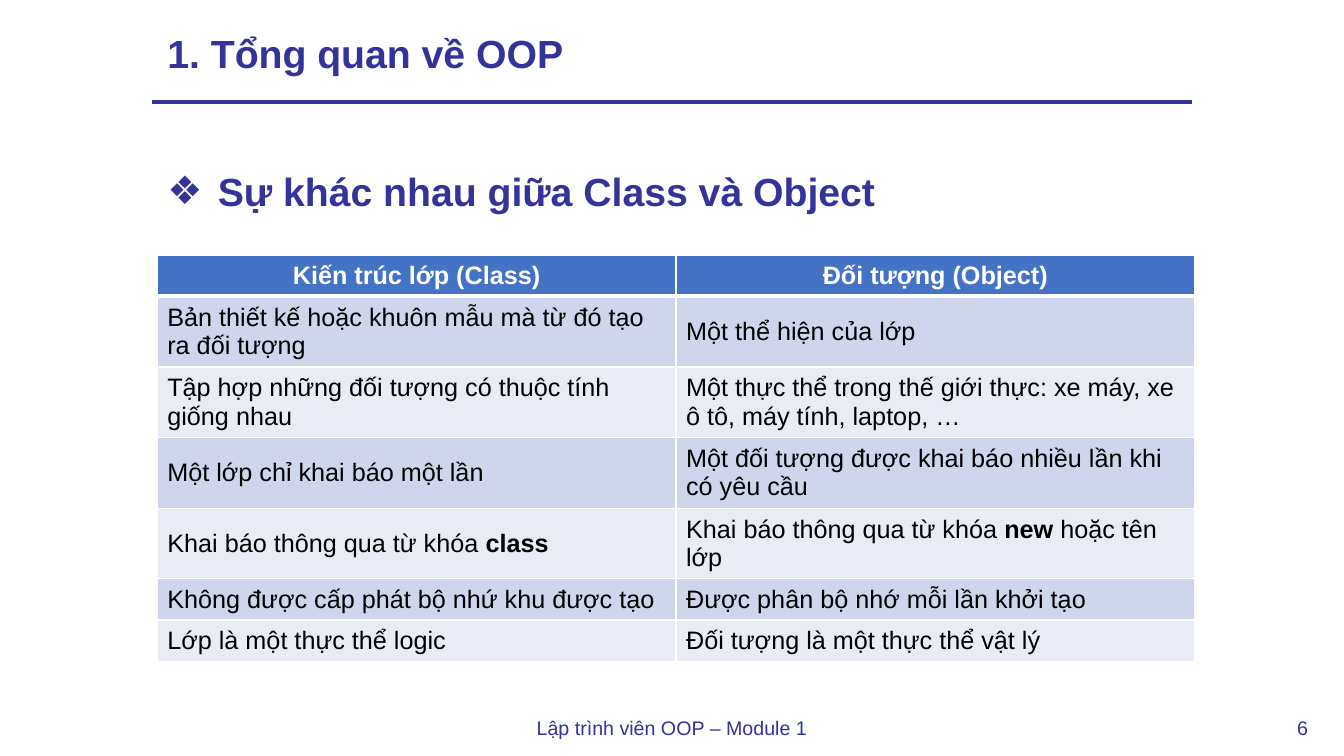
import pptx
import pptx.util
import pptx.dml.color
import pptx.enum.shapes
import pptx.enum.text
import pptx.oxml.ns
from lxml import etree

Inches = pptx.util.Inches
Pt = pptx.util.Pt
PP_ALIGN = pptx.enum.text.PP_ALIGN
ANCHOR = pptx.enum.text.MSO_ANCHOR
AUTO_SIZE = pptx.enum.text.MSO_AUTO_SIZE
qn = pptx.oxml.ns.qn

COLORS = {
    "indigo": "333399",
    "white": "FFFFFF",
    "black": "000000",
    "header": "4472C4",
    "odd_row": "CFD5EA",
    "even_row": "E9EBF5",
}

HEADINGS = ("Kiến trúc lớp (Class)", "Đối tượng (Object)")
COMPARISONS = [
    ("Bản thiết kế hoặc khuôn mẫu mà từ đó tạo ra đối tượng", "Một thể hiện của lớp"),
    ("Tập hợp những đối tượng có thuộc tính giống nhau",
     "Một thực thể trong thế giới thực: xe máy, xe ô tô, máy tính, laptop, …"),
    ("Một lớp chỉ khai báo một lần", "Một đối tượng được khai báo nhiều lần khi có yêu cầu"),
    ("Khai báo thông qua từ khóa **class**", "Khai báo thông qua từ khóa **new** hoặc tên lớp"),
    ("Không được cấp phát bộ nhứ khu được tạo", "Được phân bộ nhớ mỗi lần khởi tạo"),
    ("Lớp là một thực thể logic", "Đối tượng là một thực thể vật lý"),
]
ROW_HEIGHTS = [0.41, 0.7, 0.7, 0.7, 0.7, 0.41, 0.41]


def rgb(name):
    return pptx.dml.color.RGBColor.from_string(COLORS[name])


def style(paragraph, size, color, align, bold=None):
    paragraph.alignment = align
    paragraph.font.name = "Arial"
    paragraph.font.size = Pt(size)
    paragraph.font.color.rgb = rgb(color)
    paragraph.font.bold = bold


def place(shape, left, top, width, height):
    shape.left, shape.top = Inches(left), Inches(top)
    shape.width, shape.height = Inches(width), Inches(height)


def add_title(slide, left, top, width, height):
    title = slide.shapes.title
    place(title, left, top, width, height)
    title.text_frame.text = "1. Tổng quan về OOP"
    title.text_frame.auto_size = AUTO_SIZE.NONE
    title.text_frame.vertical_anchor = ANCHOR.MIDDLE
    paragraph = title.text_frame.paragraphs[0]
    style(paragraph, 28, "indigo", PP_ALIGN.LEFT, True)
    paragraph.line_spacing = 0.9


def add_rule(slide, left, top, width):
    rule = slide.shapes.add_connector(
        pptx.enum.shapes.MSO_CONNECTOR.STRAIGHT,
        Inches(left), Inches(top), Inches(left + width), Inches(top))
    rule.line.color.rgb = rgb("indigo")
    rule.line.width = Pt(3)
    etree.SubElement(rule._element.spPr, qn("a:effectLst"))


def add_topic(slide, left, top, width, height):
    topic = slide.placeholders[1]
    place(topic, left, top, width, height)
    topic.text_frame.text = "Sự khác nhau giữa Class và Object"
    topic.text_frame.auto_size = AUTO_SIZE.NONE
    topic.text_frame.vertical_anchor = ANCHOR.TOP
    paragraph = topic.text_frame.paragraphs[0]
    style(paragraph, 28, "indigo", PP_ALIGN.JUSTIFY, True)
    paragraph.line_spacing = 1.5
    paragraph.space_before = Pt(0)
    paragraph.space_after = Pt(6)
    properties = paragraph._p.get_or_add_pPr()
    properties.set("marL", str(Inches(0.5)))
    properties.set("indent", str(Inches(-0.5)))
    bullet = etree.Element(qn("a:buChar"), char="❖")
    properties.find(qn("a:spcAft")).addnext(bullet)


def set_borders(cell, top_width, bottom_width):
    properties = cell._tc.get_or_add_tcPr()
    for side, width in (("L", 1), ("R", 1), ("T", top_width), ("B", bottom_width)):
        border = etree.SubElement(properties, qn(f"a:ln{side}"), w=str(Pt(width)))
        fill = etree.SubElement(border, qn("a:solidFill"))
        etree.SubElement(fill, qn("a:srgbClr"), val=COLORS["white"])


def fill_cell(cell, text, row):
    is_header = row == 0
    set_borders(cell, 3 if row == 1 else 1, 3 if is_header else 1)
    cell.fill.solid()
    cell.fill.fore_color.rgb = rgb(
        "header" if is_header else "odd_row" if row % 2 else "even_row")
    cell.vertical_anchor = ANCHOR.MIDDLE
    paragraph = cell.text_frame.paragraphs[0]
    style(paragraph, 18, "white" if is_header else "black",
          PP_ALIGN.CENTER if is_header else PP_ALIGN.LEFT, is_header)
    paragraph.space_before = paragraph.space_after = Pt(6 if is_header else 12)
    for index, part in enumerate(text.split("**")):
        if part:
            run = paragraph.add_run()
            run.text = part
            run.font.bold = is_header or index % 2 == 1


def add_comparison(slide, left, top, width):
    rows = [HEADINGS] + COMPARISONS
    comparison = slide.shapes.add_table(
        len(rows), len(HEADINGS), Inches(left), Inches(top),
        Inches(width), Inches(sum(ROW_HEIGHTS))).table
    for row, texts in enumerate(rows):
        comparison.rows[row].height = Inches(ROW_HEIGHTS[row])
        for column, text in enumerate(texts):
            fill_cell(comparison.cell(row, column), text, row)


def add_footer_text(slide, text, left, top, width, height):
    footer = slide.shapes.add_textbox(
        Inches(left), Inches(top), Inches(width), Inches(height))
    footer.text_frame.word_wrap = False
    footer.text_frame.auto_size = AUTO_SIZE.SHAPE_TO_FIT_TEXT
    paragraph = footer.text_frame.paragraphs[0]
    paragraph.text = text
    style(paragraph, 14, "indigo", PP_ALIGN.CENTER)
    paragraph.line_spacing = 1.5


def build_comparison_slide(presentation):
    slide = presentation.slides.add_slide(presentation.slide_layouts[1])
    add_footer_text(slide, "6", 12.7, 6.94, 0.44, 0.41)
    add_rule(slide, 1.51, 1.01, 10.31)
    add_footer_text(slide, "Lập trình viên OOP – Module 1", 5.21, 6.94, 2.91, 0.41)
    add_title(slide, 1.56, 0.27, 10.41, 0.56)
    add_topic(slide, 1.56, 1.38, 10.29, 0.72)
    add_comparison(slide, 1.56, 2.53, 10.29)


def main():
    presentation = pptx.Presentation()
    presentation.slide_width = Inches(13.33)
    presentation.slide_height = Inches(7.5)
    build_comparison_slide(presentation)
    presentation.save("out.pptx")


if __name__ == "__main__":
    main()
